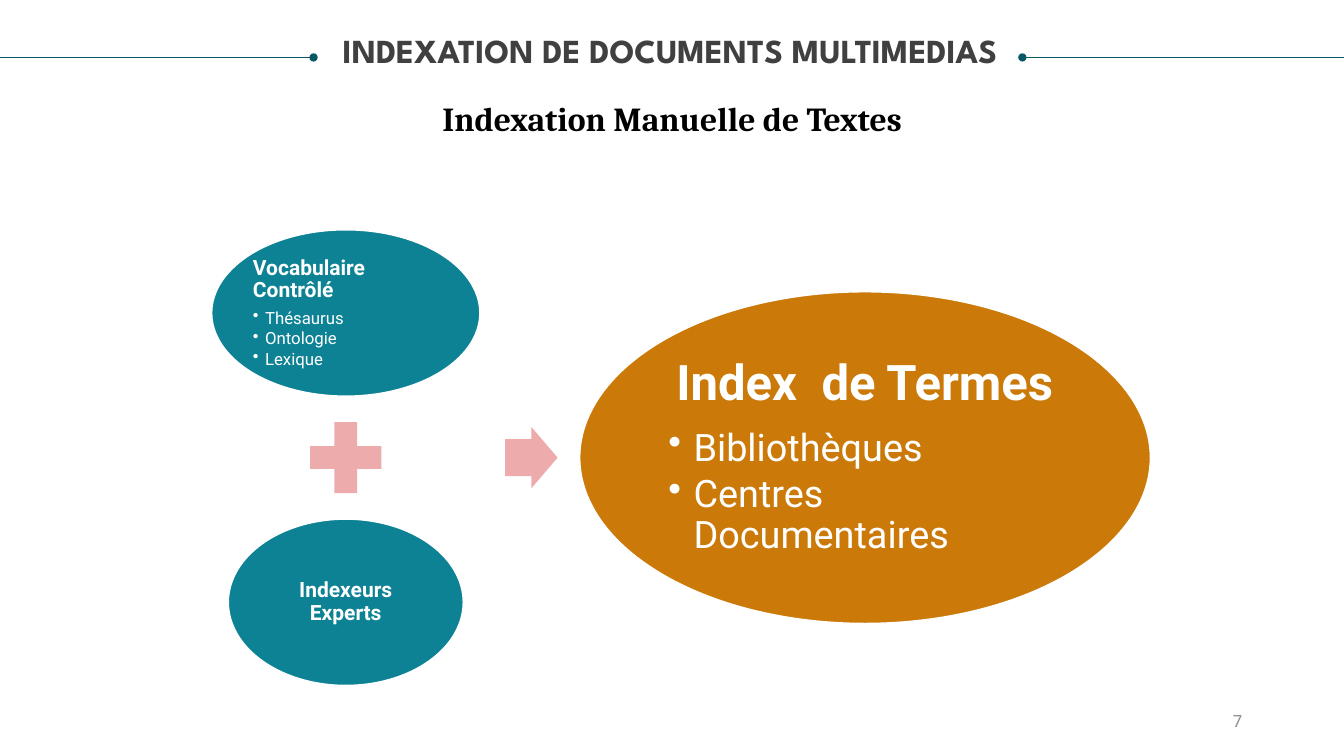
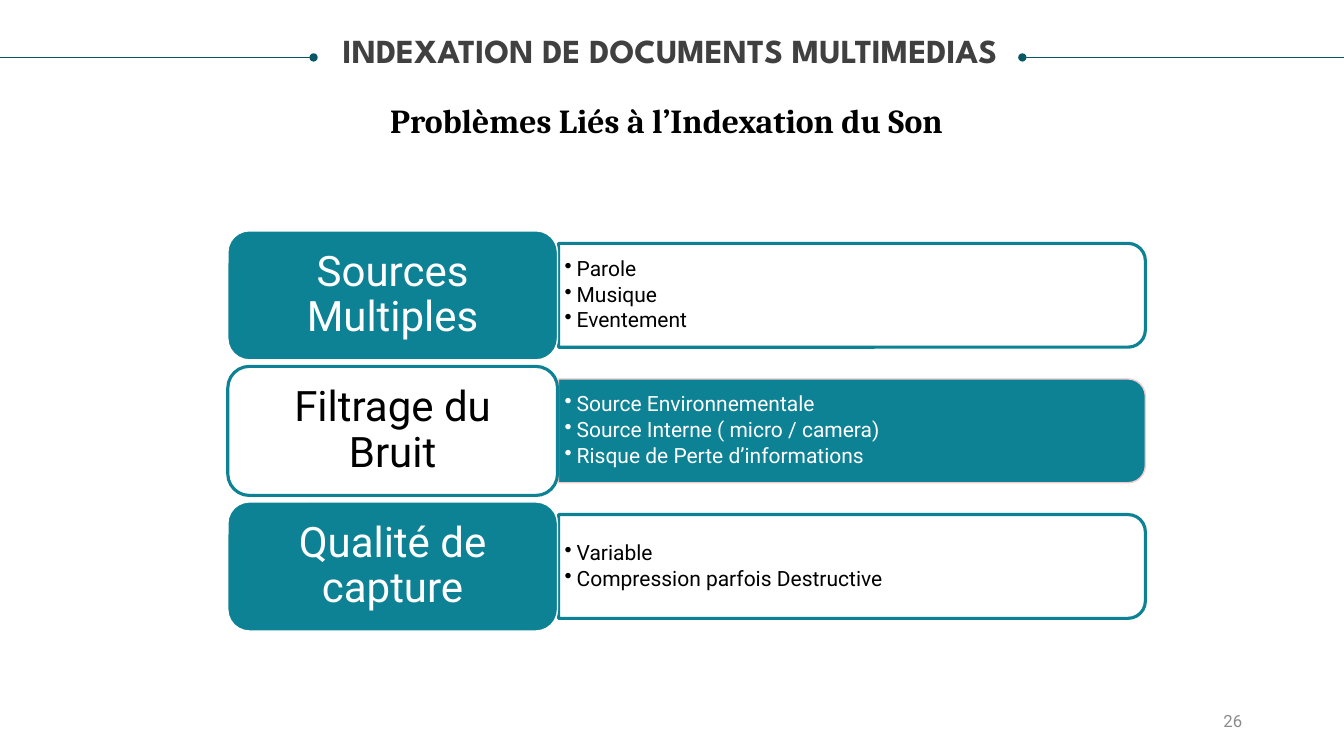
from lxml import etree
from pptx import Presentation, util as u
from pptx.dml.color import RGBColor
from pptx.enum import shapes, text
from pptx.oxml.ns import qn

# Content
TITLE = "INDEXATION DE DOCUMENTS MULTIMEDIAS"
TERMS = {
    "subtitle": "Indexation Manuelle de Textes", "number": "7",
    "inputs": [("Vocabulaire Contrôlé", ["Thésaurus", "Ontologie", "Lexique"], 2.66),
               ("Indexeurs Experts", [], 2.33)],
    "result": ("Index  de Termes", ["Bibliothèques", "Centres Documentaires"]),
}
SOUND = {
    "subtitle": "Problèmes Liés à l’Indexation du Son", "number": "26",
    "rows": [("Sources Multiples", ["Parole", "Musique", "Eventement"]),
             ("Filtrage du Bruit", ["Source Environnementale",
                                    "Source Interne ( micro / camera)",
                                    "Risque de Perte d’informations"]),
             ("Qualité de capture", ["Variable", "Compression parfois Destructive"])],
}

# Shared style
COLORS = {"teal": "0D8295", "rule": "085764", "orange": "CB7A09", "pink": "EEABAB",
          "pale": "F4CCCC", "title": "404040", "number": "8C8C8C",
          "white": "FFFFFF", "black": "000000"}
WIDTH, HEIGHT = 13.33, 7.5
BODY_FONT = "Roboto"
LEFT, CENTER, RIGHT = text.PP_ALIGN.LEFT, text.PP_ALIGN.CENTER, text.PP_ALIGN.RIGHT
TOP, MIDDLE = text.MSO_ANCHOR.TOP, text.MSO_ANCHOR.MIDDLE
PRESETS = shapes.MSO_SHAPE


def color(name):
    """Return the named colour of the palette."""
    return RGBColor.from_string(COLORS[name])


def box(left, top, width, height):
    """Turn inches into the lengths that shapes take."""
    return [u.Inches(value) for value in (left, top, width, height)]


def centered(x, y, width, height):
    """Return the box of the given size around a centre."""
    return box(x - width / 2, y - height / 2, width, height)


def set_frame(shape, anchor, inset_x, inset_y):
    """Set wrapping, anchor and insets of a shape's text."""
    frame = shape.text_frame
    frame.word_wrap = True
    frame.auto_size = text.MSO_AUTO_SIZE.NONE
    frame.vertical_anchor = anchor
    frame.margin_left = frame.margin_right = u.Inches(inset_x)
    frame.margin_top = frame.margin_bottom = u.Inches(inset_y)
    return frame


def style(paragraph, size, ink, font=BODY_FONT, bold=False, align=LEFT,
          spacing=0.9, after=0):
    """Format a paragraph and its runs."""
    paragraph.alignment = align
    paragraph.line_spacing = spacing
    paragraph.space_before = u.Pt(0)
    paragraph.space_after = u.Pt(round(size * after, 1))
    for run in paragraph.runs:
        run.font.name, run.font.size, run.font.bold = font, u.Pt(size), bold
        run.font.color.rgb = color(ink)


def add_bullet(paragraph, indent):
    """Give a paragraph a hanging round bullet."""
    properties = paragraph._p.get_or_add_pPr()
    properties.set("marL", str(u.Inches(indent)))
    properties.set("indent", str(-u.Inches(indent)))
    etree.SubElement(properties, qn("a:buChar")).set("char", "•")


def write(frame, heading, items, heading_style, item_style, indent):
    """Write an optional heading, then a bulleted list."""
    lines = ([heading] if heading else []) + items
    frame.text = "\n".join(lines)
    for index, paragraph in enumerate(frame.paragraphs):
        if heading and index == 0:
            style(paragraph, after=0.35, **heading_style)
        else:
            style(paragraph, after=0.15, **item_style)
            add_bullet(paragraph, indent)


def add_shape(slide, preset, place, fill, line=None, weight=1):
    """Add a flat preset shape."""
    shape = slide.shapes.add_shape(preset, *place)
    shape.shadow.inherit = False
    shape.fill.solid()
    shape.fill.fore_color.rgb = color(fill)
    if line:
        shape.line.color.rgb = color(line)
        shape.line.width = u.Pt(weight)
    else:
        shape.line.fill.background()
    return shape


def add_label(slide, place, words, anchor=TOP, **looks):
    """Add a text box of one line."""
    frame = set_frame(slide.shapes.add_textbox(*place), anchor, 0.1, 0.05)
    frame.text = words
    style(frame.paragraphs[0], spacing=1, **looks)


def add_rule(slide, dot, edge, y=0.57):
    """Draw a header rule from its dot to the slide's edge."""
    rule = slide.shapes.add_connector(shapes.MSO_CONNECTOR.STRAIGHT,
                                      *box(dot, y, edge, y))
    rule.line.color.rgb = color("rule")
    rule.line.width = u.Pt(0.5)
    etree.SubElement(rule.line._get_or_add_ln(), qn("a:headEnd")).set("type", "oval")
    etree.SubElement(rule._element.spPr, qn("a:effectLst"))


def add_slide(presentation, content, subtitle_center, subtitle_top):
    """Add a slide with the shared header and page number."""
    slide = presentation.slides.add_slide(presentation.slide_layouts[5])
    title = slide.shapes.title
    title.left, title.top, title.width, title.height = box(0.23, 0.34, 12.83, 0.36)
    frame = set_frame(title, TOP, 0, 0)
    frame.text = TITLE
    style(frame.paragraphs[0], 24, "title", "League Spartan", True, CENTER)
    for dot, edge in ((3.11, 0), (10.14, WIDTH)):
        add_rule(slide, dot, edge)
    add_label(slide, box(subtitle_center - 4, subtitle_top, 8, 0.5), content["subtitle"],
              size=24, ink="black", font="Cambria", bold=True, align=CENTER)
    add_label(slide, box(9.42, 6.95, 3, 0.4), content["number"], MIDDLE,
              size=12, ink="number", align=RIGHT)
    return slide


def add_ellipse(slide, place, fill, heading, items, sizes, inset, indent):
    """Add an ellipse with a bold heading and a list."""
    ellipse = add_shape(slide, PRESETS.OVAL, place, fill, "white")
    heading_align = LEFT if items and fill == "teal" else CENTER
    write(set_frame(ellipse, MIDDLE, inset, inset), heading, items,
          {"size": sizes[0], "ink": "white", "bold": True, "align": heading_align},
          {"size": sizes[1], "ink": "white"}, indent)


def build_terms(presentation):
    """Show two inputs that add up to an index."""
    slide = add_slide(presentation, TERMS, WIDTH / 2, 0.92)
    column, middle, step = 3.43, 4.54, 1.435
    for side, (heading, items, width) in zip((-1, 1), TERMS["inputs"]):
        add_ellipse(slide, centered(column, middle + side * step, width, 1.65),
                    "teal", heading, items, (15, 12), 0.02, 0.12)
    add_shape(slide, PRESETS.MATH_PLUS, centered(column, middle, 0.96, 0.96), "pink")
    arrow = add_shape(slide, PRESETS.RIGHT_ARROW,
                      centered(5.27, middle, 0.52, 0.61), "pink")
    arrow.adjustments[0] = 0.6
    add_ellipse(slide, centered(8.58, middle, 5.66, 3.29), "orange",
                *TERMS["result"], (35, 27), 0.05, 0.25)


def build_sound(presentation):
    """Show each problem beside its details, the colours alternating."""
    slide = add_slide(presentation, SOUND, 6.61, 0.94)
    left, label_width, label_height, first, pitch = 2.26, 3.27, 1.28, 2.93, 1.345
    panel_left, panel_width, panel_height = 5.54, 5.82, 1.03
    solid, outlined = ("teal", "white"), ("white", "black")
    for index, (heading, items) in enumerate(SOUND["rows"]):
        y = first + index * pitch
        odd = index % 2 == 1
        label_fill, label_ink = outlined if odd else solid
        panel_fill, panel_ink = solid if odd else outlined
        panel = add_shape(slide, PRESETS.ROUND_2_SAME_RECTANGLE,
                          centered(panel_left + panel_width / 2, y,
                                   panel_height, panel_width),
                          panel_fill, "pale" if odd else "teal", 1 if odd else 2.25)
        panel.rotation = 90
        details = slide.shapes.add_textbox(*box(panel_left, y - 0.465, 5.77, 0.93))
        write(set_frame(details, MIDDLE, 0.06, 0.03), None, items, {},
              {"size": 15, "ink": panel_ink}, 0.12)
        label = add_shape(slide, PRESETS.ROUNDED_RECTANGLE,
                          box(left, y - label_height / 2, label_width, label_height),
                          label_fill, "teal" if odd else "white", 2.25 if odd else 1)
        write(set_frame(label, MIDDLE, 0.12, 0.06), heading, [],
              {"size": 30, "ink": label_ink, "align": CENTER}, {}, 0)


presentation = Presentation()
presentation.slide_width, presentation.slide_height = u.Inches(WIDTH), u.Inches(HEIGHT)
build_terms(presentation)
build_sound(presentation)
presentation.save("out.pptx")
